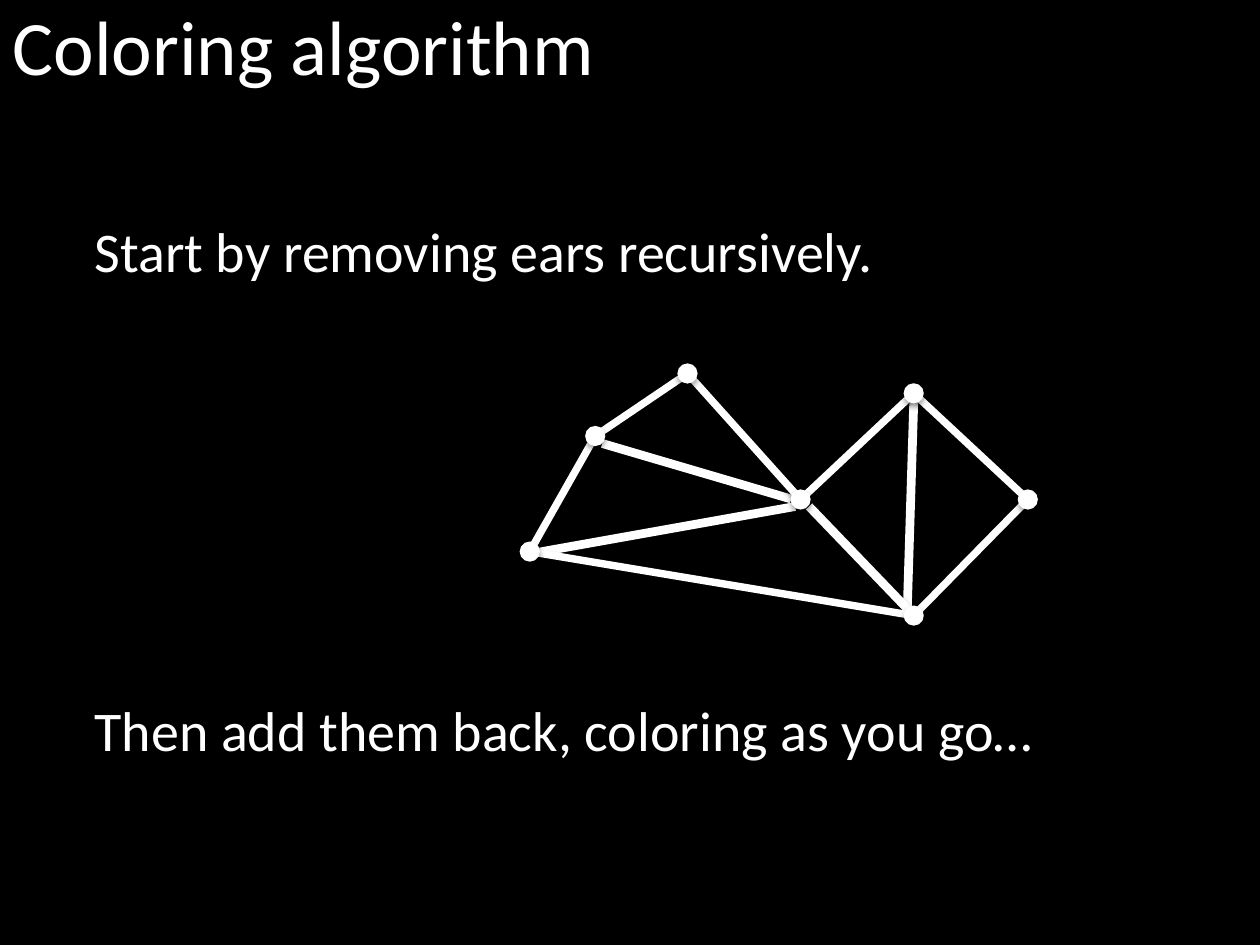
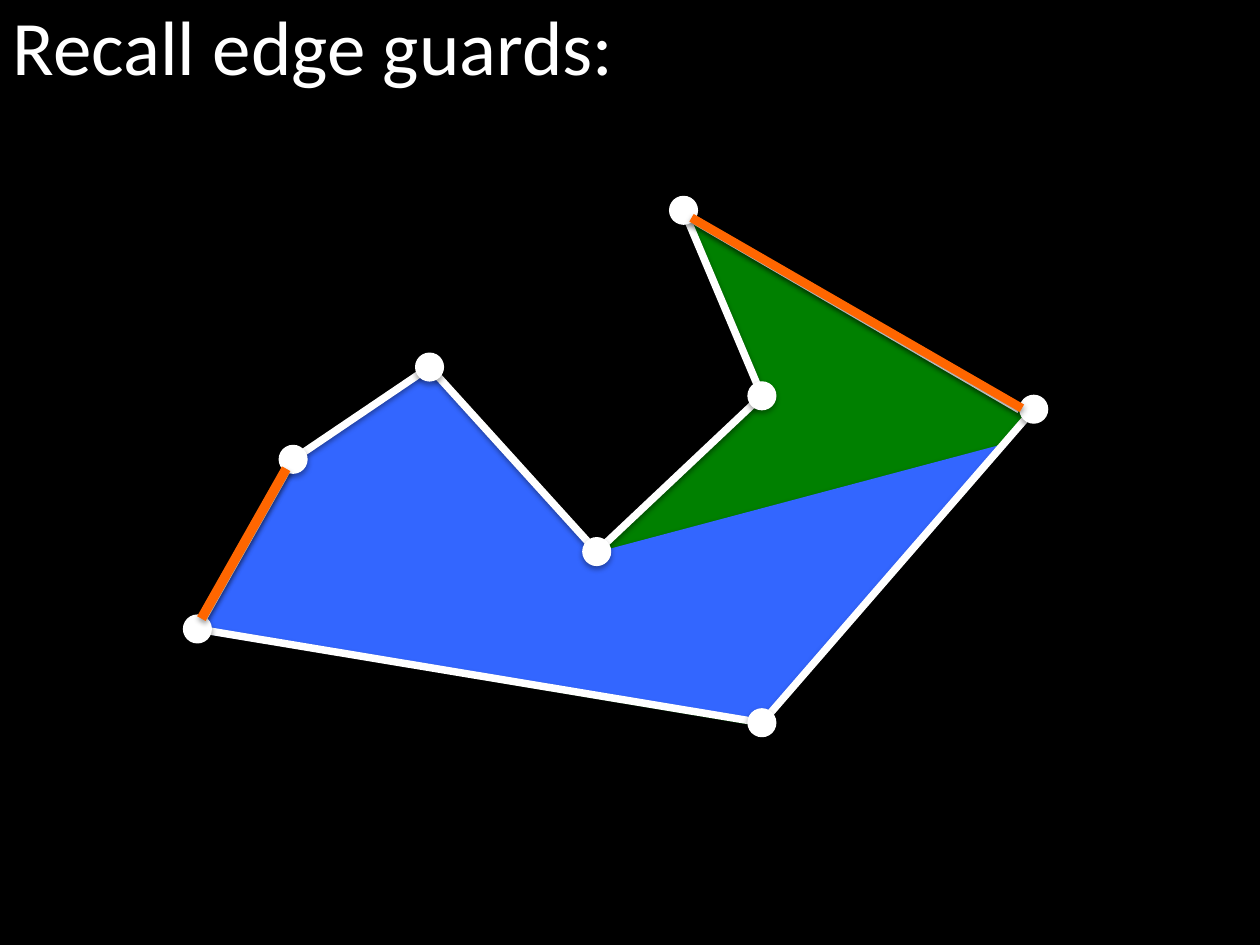
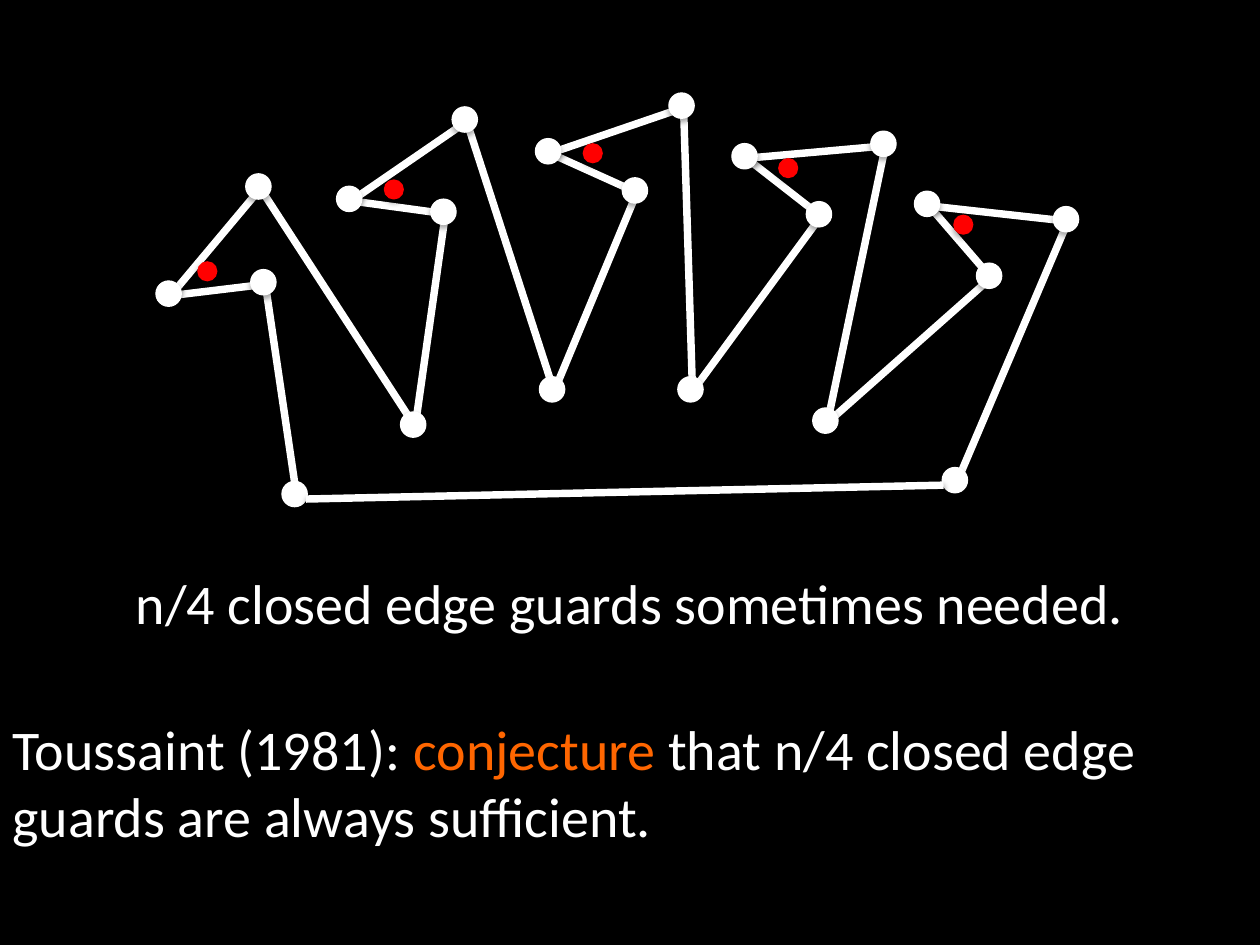
from dataclasses import dataclass
from itertools import pairwise

from pptx import Presentation
from pptx import util as u
from pptx.dml.color import RGBColor
from pptx.enum import shapes, text
from pptx.oxml import ns, parse_xml

HUES = {"back": "000000", "ink": "FFFFFF", "guard": "FF6600",
        "spot": "FF0000", "green": "008000", "blue": "3366FF"}
FRAME = {"word_wrap": True, "auto_size": text.MSO_AUTO_SIZE.NONE,
         "vertical_anchor": text.MSO_ANCHOR.TOP}
FONT = {"name": "Calibri", "bold": False}
HANG = 2.06
NUDGE = 0.04
Point = tuple[float, float]
Box = tuple[float, float, float, float]


@dataclass
class Edge:
    """A straight stroke between two points in centimetres."""
    start: Point
    end: Point
    width: float = 4.25
    hue: str = "ink"


@dataclass
class Dot:
    """A round mark around a centre in centimetres."""
    centre: Point
    size: float
    hue: str = "ink"


@dataclass
class Patch:
    """A filled outline, with or without a rim."""
    points: list[Point]
    hue: str
    rim: bool = False


@dataclass
class Words:
    """Coloured runs, by line, in a placed box."""
    box: Box
    lines: list[list[tuple[str, str]]]
    size: int = 32
    align: text.PP_ALIGN = text.PP_ALIGN.LEFT
    hang: float = HANG


@dataclass
class Spike:
    """One tooth of the comb, with its root and the spot inside."""
    tip: Point
    left: Point
    notch: Point
    root: Point
    spot: Point


def tint(hue: str) -> RGBColor:
    """Look up a colour by name."""
    return RGBColor.from_string(HUES[hue])


def apply(target, values: dict) -> None:
    """Set every named value on the target."""
    for name, value in values.items():
        setattr(target, name, value)


def shade(shape, alpha: int, drop: int) -> None:
    """Give a shape a soft shadow straight below it."""
    shape._element.spPr.append(parse_xml(
        f'<a:effectLst {ns.nsdecls("a")}><a:outerShdw blurRad="40000" dist="{drop}" '
        f'dir="5400000" rotWithShape="0"><a:srgbClr val="{HUES["back"]}">'
        f'<a:alpha val="{alpha * 1000}"/></a:srgbClr></a:outerShdw></a:effectLst>'))


def paint(shape, hue: str, rim: bool = True) -> None:
    """Fill a shape, rim it if asked, and shade it."""
    shape.fill.solid()
    shape.fill.fore_color.rgb = tint(hue)
    if rim:
        shape.line.color.rgb = tint(hue)
        shape.line.width = u.Pt(0.75)
    else:
        shape.line.fill.background()
    shade(shape, 35, 23000)


def draw(slide, item: Edge | Dot | Patch) -> None:
    """Draw one part of a figure."""
    match item:
        case Edge():
            ends = map(u.Cm, (*item.start, *item.end))
            line = slide.shapes.add_connector(shapes.MSO_CONNECTOR.STRAIGHT, *ends)
            line.line.color.rgb = tint(item.hue)
            line.line.width = u.Pt(item.width)
            shade(line, 38, 20000)
        case Dot():
            x, y = (c - item.size / 2 for c in item.centre)
            box = map(u.Cm, (x, y, item.size, item.size))
            paint(slide.shapes.add_shape(shapes.MSO_SHAPE.OVAL, *box), item.hue)
        case Patch():
            spots = [(u.Cm(x), u.Cm(y)) for x, y in item.points]
            path = slide.shapes.build_freeform(*spots[0])
            path.add_line_segments(spots[1:], close=True)
            paint(path.convert_to_shape(), item.hue, item.rim)


def write(holder, words: Words) -> None:
    """Move a placeholder and fill it with formatted text."""
    apply(holder, dict(zip(("left", "top", "width", "height"), map(u.Cm, words.box))))
    frame = holder.text_frame
    apply(frame, FRAME)
    for i, line in enumerate(words.lines):
        para = frame.add_paragraph() if i else frame.paragraphs[0]
        apply(para, {"alignment": words.align, "space_before": u.Pt(0)})
        props = para._p.get_or_add_pPr()
        props.set("marL", str(u.Cm(words.hang)))
        props.set("indent", str(-u.Cm(words.hang)))
        props.append(parse_xml(f'<a:buNone {ns.nsdecls("a")}/>'))
        for part, hue in line:
            run = para.add_run()
            run.text = part
            apply(run.font, FONT | {"size": u.Pt(words.size)})
            run.font.color.rgb = tint(hue)


def build(deck, layout: int, title: str, texts: list[Words], items: list) -> None:
    """Add a slide with its title, texts and figure."""
    slide = deck.slides.add_slide(deck.slide_layouts[layout])
    head, *rest = slide.placeholders
    if title:
        write(head, Words((0, -0.15, 23.65, 2.13), [[(title, "ink")]], 44, hang=0))
    else:
        head._element.getparent().remove(head._element)
    for holder, words in zip(rest, texts):
        write(holder, words)
    for item in items:
        draw(slide, item)


def ears() -> list:
    """Lay out the polygon cut into triangles."""
    ring = [(10.68, 11.12), (12, 8.79), (13.86, 7.53), (16.14, 10.07),
            (18.42, 7.93), (20.72, 10.07), (18.42, 12.41)]
    cuts = [((12.14, 8.94), (15.95, 10.06)), ((10.87, 11.13), (16.03, 10.21)),
            ((18.29, 12.27), (18.42, 8.1)), ((18.29, 12.27), (16.31, 10.21))]
    return ([Edge(*cut, 5) for cut in cuts]
            + [Edge(*side) for side in pairwise(ring + ring[:1])]
            + [Dot(node, 0.38) for node in ring])


def guards() -> list:
    """Lay out the polygon with two guard edges and what they see."""
    green = [(13.79, 4.39), (15.42, 7.95), (11.91, 11.25),
             (6.4, 13.13), (15.29, 14.63), (20.7, 8.31)]
    blue = [(8.66, 7.42), (5.89, 9.3), (3.96, 12.75),
            (15.42, 14.6), (20.35, 8.92), (12.04, 11.13)]
    chain = [(20.84, 8.25), (15.36, 14.57), (3.98, 12.68), (5.91, 9.26),
             (8.66, 7.4), (12.03, 11.12), (15.36, 7.98), (13.78, 4.24)]
    return ([Patch(green, "green", True), Patch(blue, "blue")]
            + [Edge(*side) for side in pairwise(chain)]
            + [Edge((14, 4.45), (20.55, 8.26))]
            + [Dot(node, 0.56) for node in chain]
            + [Edge((13.94, 4.39), (20.6, 8.23), 5, "guard"),
               Edge((5.77, 9.45), (4.06, 12.47), 5.5, "guard")])


def comb() -> list:
    """Lay out the comb of five spikes on one base."""
    spikes = [
        Spike((5.21, 3.76), (3.4, 5.92), (5.31, 5.69), (8.33, 8.56), (4.18, 5.47)),
        Spike((9.37, 2.41), (7.04, 4.01), (8.94, 4.27), (11.13, 7.85), (7.94, 3.82)),
        Spike((13.74, 2.13), (11.05, 3.05), (12.8, 3.84), (13.92, 7.85), (11.95, 3.09)),
        Spike((17.81, 2.9), (15.01, 3.15), (16.51, 4.32), (16.64, 8.48), (15.89, 3.39)),
        Spike((21.49, 4.42), (18.69, 4.11), (19.94, 5.56), (19.25, 9.68), (19.42, 4.53)),
    ]
    chain = [(5.94, 9.96)]
    for spike in spikes:
        chain += [spike.notch, spike.left, spike.tip, spike.root]
    track = [(x + NUDGE, y + NUDGE) for x, y in chain]
    return ([Edge(*side) for side in pairwise(track)]
            + [Dot(node, 0.51) for node in chain]
            + [Edge((19.02, 9.78), (6.17, 10.06))]
            + [Dot(spike.spot, 0.38, "spot") for spike in spikes])


def main() -> None:
    """Build the deck and save it."""
    deck = Presentation()
    apply(deck, {"slide_width": u.Cm(25.4), "slide_height": u.Cm(19.05)})
    fill = deck.slide_master.background.fill
    fill.solid()
    fill.fore_color.rgb = tint("back")
    build(deck, 3, "Coloring algorithm", [
        Words((1.65, 4.24, 16.79, 1.63), [[("Start by removing ears recursively.", "ink")]]),
        Words((1.65, 13.89, 21.59, 1.63),
              [[("Then add them back, coloring as you go…", "ink")]]),
    ], ears())
    build(deck, 5, "Recall edge guards:", [], guards())
    build(deck, 3, "", [
        Words((0, 11.33, 25.4, 1.63), [[("n/4 closed edge guards sometimes needed.", "ink")]],
              align=text.PP_ALIGN.CENTER),
        Words((0, 14.27, 25.4, 4.37), [
            [("Toussaint (1981): ", "ink"), ("conjecture", "guard"),
             (" that n/4 closed edge", "ink")],
            [("guards are always sufficient.", "ink")]]),
    ], comb())
    deck.save("out.pptx")


if __name__ == "__main__":
    main()
